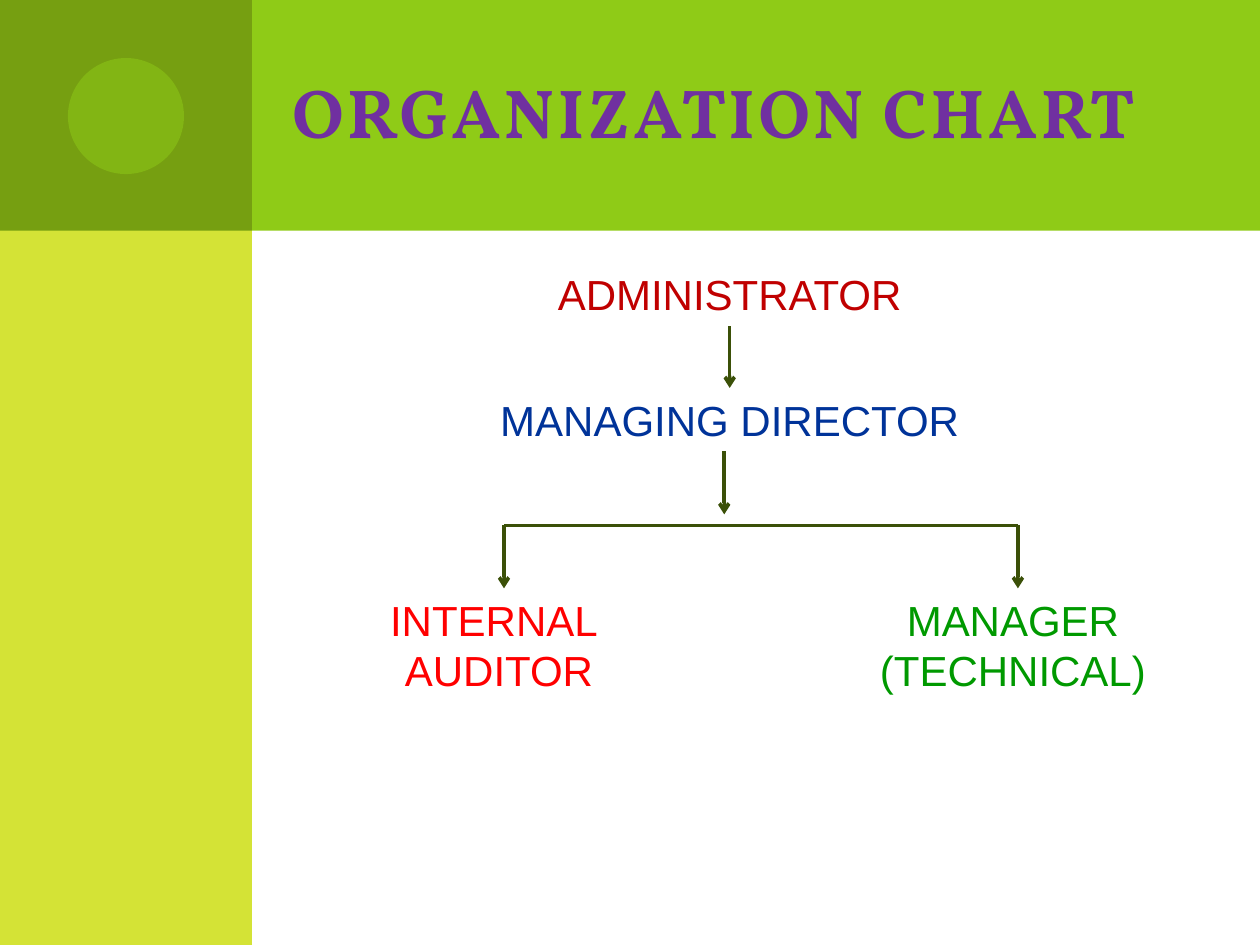
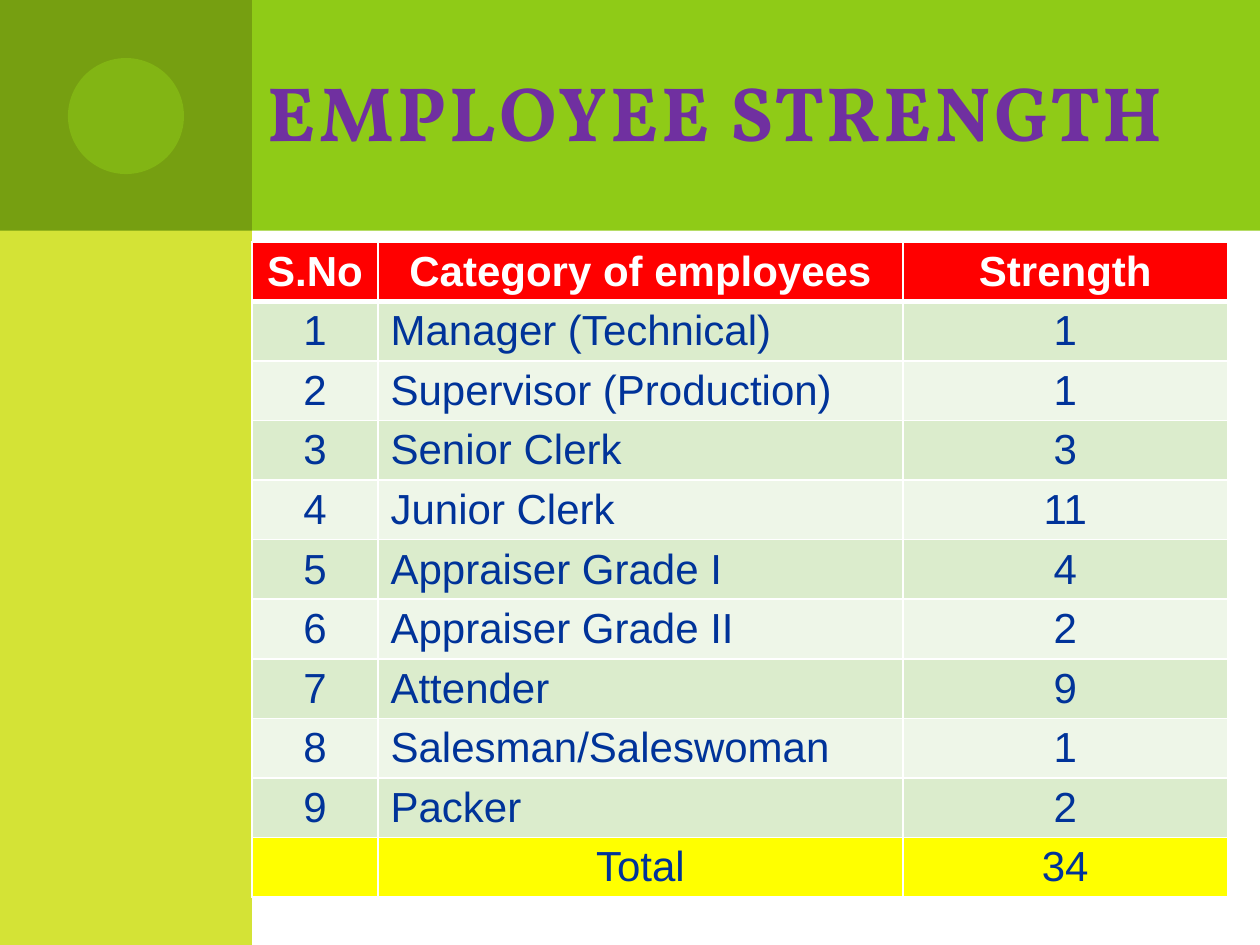
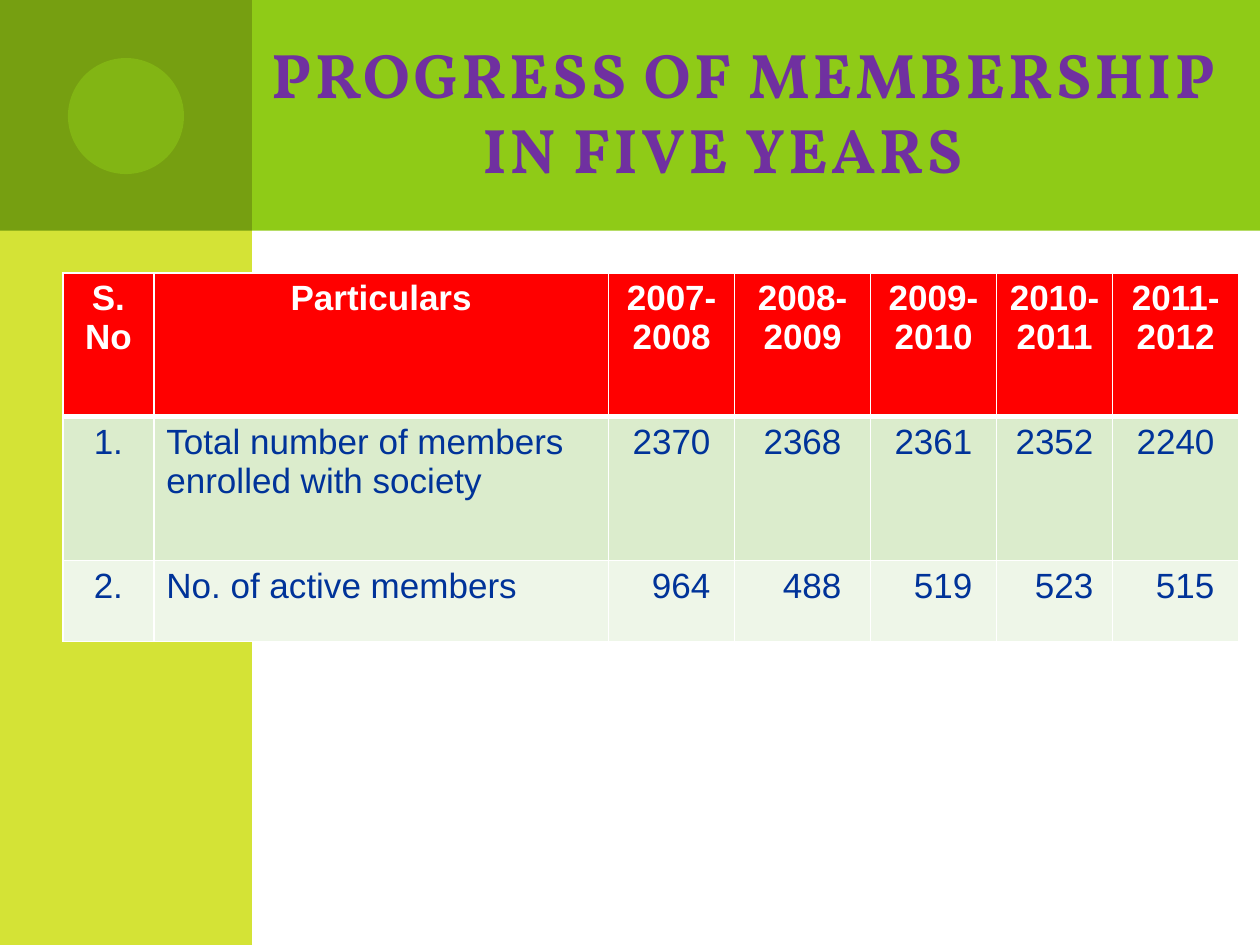
from lxml.etree import SubElement
from pptx import Presentation
from pptx.dml.color import RGBColor
from pptx.enum.shapes import MSO_CONNECTOR, MSO_SHAPE
from pptx.enum.text import MSO_ANCHOR, MSO_AUTO_SIZE, PP_ALIGN
from pptx.oxml import parse_xml
from pptx.oxml.ns import nsdecls, qn
from pptx.util import Cm, Pt

LIME, YELLOW_GREEN, OLIVE, DARK_OLIVE = "8FCB17", "D4E336", "769F11", "3B5008"
PURPLE, NAVY, WHITE, RED, YELLOW = "7030A0", "003399", "FFFFFF", "FF0000", "FFFF00"
BANDS = ["DBECCC", "EEF6E8"]
CELL_MARGIN = 0.25
DIGIT_SHIFT = 0.39

BACKDROP = [
    (MSO_SHAPE.RECTANGLE, (1.27, 0, 24.13, 4.65), LIME, None),
    (MSO_SHAPE.RECTANGLE, (0, 0, 5.08, 19.05), YELLOW_GREEN, None),
    (MSO_SHAPE.RECTANGLE, (0, 0, 5.08, 4.65), OLIVE, None),
    (MSO_SHAPE.OVAL, (1.37, 1.17, 2.34, 2.34), LIME, 50),
]

ROLES = {
    "administrator": ("ADMINISTRATOR", (10.8, 5.28, 7.82, 1.3), "C00000"),
    "director": ("MANAGING DIRECTOR", (9.73, 7.82, 9.96, 1.3), NAVY),
    "auditor": ("INTERNAL \nAUDITOR", (5.08, 11.86, 9.96, 2.31), RED),
    "manager": ("MANAGER\n(TECHNICAL)", (15.44, 11.86, 9.96, 2.31), "009900"),
}
STEM_X, STEM_TOP = 14.6, 9.1
BRANCH_LEFT, BRANCH_RIGHT, BRANCH_TOP = 10.16, 20.52, 10.59
ARROW_LENGTH = 1.27

STRENGTH = {
    "place": (5.08, 4.88),
    "columns": [2.54, 10.58, 6.55],
    "heights": [1.2] * 11,
    "size": 24,
    "header": ["S.No", "Category of employees", "Strength"],
    "rows": [
        ["1", "Manager (Technical)", "1"],
        ["2", "Supervisor (Production)", "1"],
        ["3", "Senior Clerk", "3"],
        ["4", "Junior Clerk", "11"],
        ["5", "Appraiser Grade I", "4"],
        ["6", "Appraiser Grade II", "2"],
        ["7", "Attender", "9"],
        ["8", "Salesman/Saleswoman", "1"],
        ["9", "Packer", "2"],
    ],
    "total": ["", "Total", "34"],
}
MEMBERSHIP = {
    "place": (1.27, 5.5),
    "columns": [1.83, 9.17, 2.54, 2.74, 2.54, 2.34, 2.54],
    "heights": [2.9, 2.9, 1.63],
    "size": 20,
    "digits": 4,
    "header": ["S.\nNo", "Particulars"] + [f"{year}-{year + 1}" for year in range(2007, 2012)],
    "rows": [
        ["1.", "Total number of members enrolled with society", "2370", "2368", "2361", "2352", "2240"],
        ["2.", "No. of active members", "964", "488", "519", "523", "515"],
    ],
}


def color(value):
    return RGBColor.from_string(value)


def lengths(values):
    return [Cm(value) for value in values]


def write(frame, text, size=24, font="Arial", fill=NAVY, bold=False, align=PP_ALIGN.CENTER, **attributes):
    frame.word_wrap = True
    for index, line in enumerate(text.split("\n")):
        paragraph = frame.paragraphs[0] if index == 0 else frame.add_paragraph()
        paragraph.alignment = align
        run = paragraph.add_run()
        run.text = line
        run.font.size, run.font.name, run.font.bold = Pt(size), font, bold
        run.font.color.rgb = color(fill)
        for name, value in attributes.items():
            run.font._element.set(name, value)


def build_backdrop(slide, layout):
    for position, (kind, box, fill, opacity) in enumerate(BACKDROP, 2):
        shape = slide.shapes.add_shape(kind, *lengths(box))
        shape.shadow.inherit = False
        shape.fill.solid()
        shape.fill.fore_color.rgb = color(fill)
        shape.line.fill.background()
        if opacity:
            tint = shape.element.spPr.find(".//" + qn("a:srgbClr"))
            SubElement(tint, qn("a:alpha"), val=str(opacity * 1000))
        layout.shapes.element.insert(position, shape.element)


def set_title(slide, text, size, left=5.08, width=19.89):
    title = slide.shapes.title
    title.left, title.top, title.width, title.height = lengths((left, 0.64, width, 3.18))
    title.text_frame.auto_size = MSO_AUTO_SIZE.NONE
    title.text_frame.vertical_anchor = MSO_ANCHOR.MIDDLE
    write(title.text_frame, text, size, "Vollkorn", PURPLE, True, spc="200", cap="small")


def add_line(slide, start, end, arrow=True):
    line = slide.shapes.add_connector(MSO_CONNECTOR.STRAIGHT, *lengths(start + end))
    line.line.color.rgb = color(DARK_OLIVE)
    line.line.width = Pt(2)
    if arrow:
        SubElement(line.line._get_or_add_ln(), qn("a:tailEnd"), type="arrow")
    SubElement(line.element.spPr, qn("a:effectLst"))
    return line


def add_down_arrow(slide, x, top):
    return add_line(slide, (x, top), (x, top + ARROW_LENGTH))


def build_organization(slide):
    boxes = {}
    for role, (text, box, fill) in ROLES.items():
        boxes[role] = slide.shapes.add_textbox(*lengths(box))
        write(boxes[role].text_frame, text, fill=fill)
        boxes[role].text_frame.auto_size = MSO_AUTO_SIZE.SHAPE_TO_FIT_TEXT
    first_arrow = add_down_arrow(slide, 14.71, 6.58)
    first_arrow.begin_connect(boxes["administrator"], 2)
    first_arrow.end_connect(boxes["director"], 0)
    add_down_arrow(slide, STEM_X, STEM_TOP)
    for x in (BRANCH_LEFT, BRANCH_RIGHT):
        add_down_arrow(slide, x, BRANCH_TOP)
    add_line(slide, (BRANCH_LEFT, BRANCH_TOP), (BRANCH_RIGHT, BRANCH_TOP), arrow=False)


def set_borders(cell, row):
    widths = {"lnL": 1, "lnR": 1, "lnT": 3 if row == 1 else 1, "lnB": 3 if row == 0 else 1}
    properties = cell._tc.get_or_add_tcPr()
    for position, (side, width) in enumerate(widths.items()):
        properties.insert(position, parse_xml(
            f'<a:{side} {nsdecls("a")} w="{Pt(width)}"><a:solidFill>'
            f'<a:srgbClr val="{WHITE}"/></a:solidFill></a:{side}>'))


def build_table(slide, data):
    total = data.get("total")
    rows = [data["header"]] + data["rows"] + ([total] if total else [])
    size = (sum(data["columns"]), sum(data["heights"]))
    table = slide.shapes.add_table(len(rows), len(data["columns"]), *lengths(data["place"] + size)).table
    table.first_row = table.horz_banding = False
    for column, width in zip(table.columns, data["columns"]):
        column.width = Cm(width)
    for row, values in enumerate(rows):
        table.rows[row].height = Cm(data["heights"][row])
        is_header, is_total = row == 0, values is total
        fill = RED if is_header else YELLOW if is_total else BANDS[(row - 1) % 2]
        for column, text in enumerate(values):
            cell = table.cell(row, column)
            cell.fill.solid()
            cell.fill.fore_color.rgb = color(fill)
            set_borders(cell, row)
            is_label = column == 1 and not is_header and not is_total
            if text:
                write(cell.text_frame, text, data["size"], fill=WHITE if is_header else NAVY,
                      bold=is_header, align=PP_ALIGN.LEFT if is_label else PP_ALIGN.CENTER)
            if "digits" in data and column > 1 and not is_header:
                missing = data["digits"] - len(text)
                cell.margin_left = Cm(CELL_MARGIN + missing * DIGIT_SHIFT)


def main():
    presentation = Presentation()
    presentation.slide_width, presentation.slide_height = lengths((25.4, 19.05))
    layout = presentation.slide_layouts[5]
    organization, strength, membership = [presentation.slides.add_slide(layout) for _ in range(3)]
    build_backdrop(organization, layout)

    set_title(organization, "ORGANIZATION CHART", 39.6)
    build_organization(organization)

    set_title(strength, "EMPLOYEE STRENGTH", 44)
    build_table(strength, STRENGTH)

    set_title(membership, "PROGRESS OF MEMBERSHIP IN FIVE YEARS", 36, left=4.65, width=20.75)
    build_table(membership, MEMBERSHIP)

    presentation.save("out.pptx")


if __name__ == "__main__":
    main()
